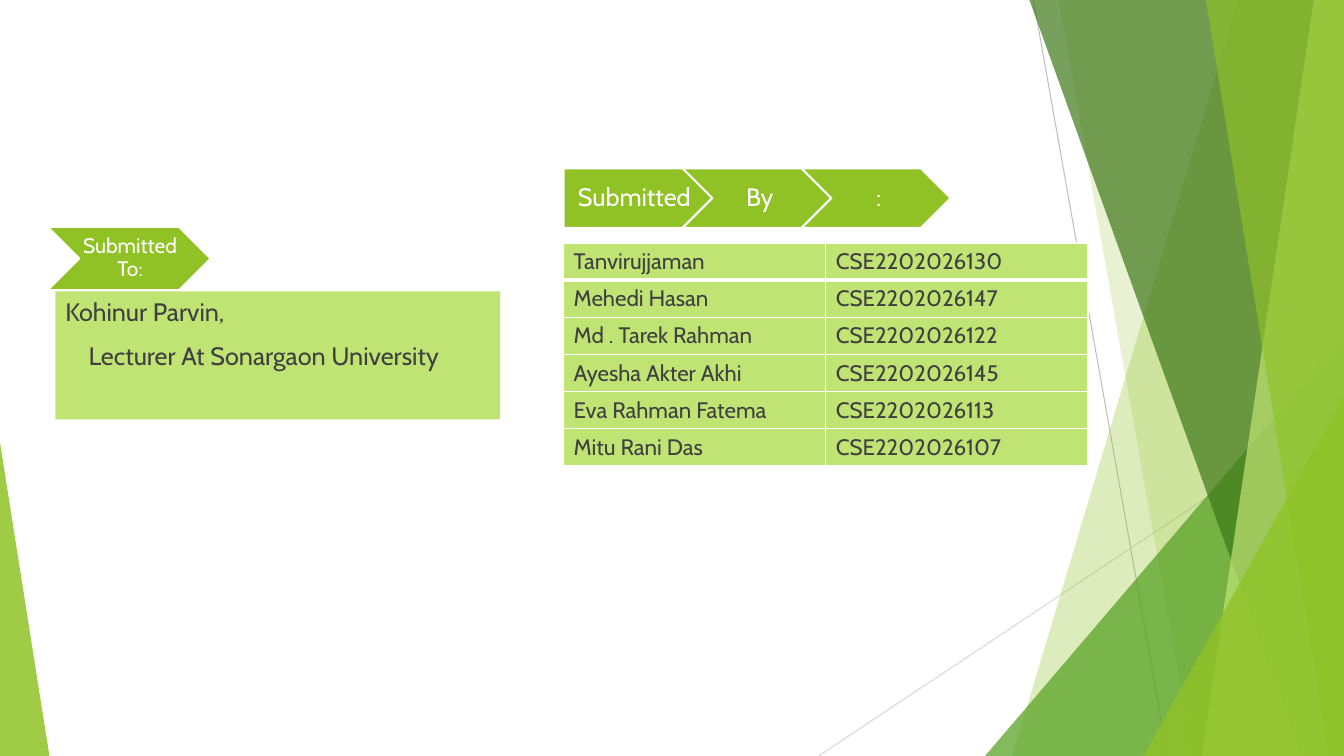
import pptx
import pptx.util
import pptx.dml.color
import pptx.enum.shapes
import pptx.enum.text
import pptx.oxml
import pptx.oxml.ns
from dataclasses import dataclass

SHAPE = pptx.enum.shapes.MSO_SHAPE
ALIGN = pptx.enum.text.PP_ALIGN
ANCHOR = pptx.enum.text.MSO_ANCHOR
NS = pptx.oxml.ns.nsdecls("a")
WIDE, HIGH = 1333, 750


@dataclass
class Theme:
    font: str = "Cabin"
    white: str = "FFFFFF"
    ink: str = "404040"
    lime: str = "90C226"
    pale: str = "C0E474"
    leaf: str = "54A021"
    dark: str = "3F7819"
    grey: str = "BFBFBF"
    mist: str = "D9D9D9"
    body: int = 18
    cell: int = 16
    tag: int = 15


def px(n):
    return pptx.util.Emu(n * 9144)


def rgb(code):
    return pptx.dml.color.RGBColor.from_string(code)


class Page:
    """Draws styled elements on one slide."""

    def __init__(self, deck, theme):
        self.theme = theme
        self.shapes = deck.slides.add_slide(deck.slide_layouts[6]).shapes

    def paint(self, shape, color, alpha=100):
        shape.shadow.inherit = False
        shape.fill.solid()
        shape.fill.fore_color.rgb = rgb(color)
        shape.line.fill.background()
        if alpha < 100:
            tone = shape.fill._xPr.find(".//" + pptx.oxml.ns.qn("a:srgbClr"))
            tone.append(pptx.oxml.parse_xml(f'<a:alpha {NS} val="{alpha * 1000}"/>'))

    def style(self, para, size, color):
        para.font.name = self.theme.font
        para.font.size = pptx.util.Pt(size)
        para.font.color.rgb = rgb(color)

    def line(self, start, end, color):
        rule = self.shapes.add_connector(
            pptx.enum.shapes.MSO_CONNECTOR.STRAIGHT, *map(px, start + end))
        rule.line.color.rgb = rgb(color)
        rule.line.width = pptx.util.Pt(0.75)
        rule._element.spPr.append(pptx.oxml.parse_xml(f"<a:effectLst {NS}/>"))

    def facet(self, top, base, color, alpha):
        form = self.shapes.build_freeform(top, 0, scale=9144)
        form.add_line_segments([(WIDE, 0), (WIDE, HIGH), (base, HIGH)], close=True)
        self.paint(form.convert_to_shape(), color, alpha)

    def wedge(self, box, peak, color, alpha):
        shape = self.shapes.add_shape(SHAPE.ISOSCELES_TRIANGLE, *map(px, box))
        shape.adjustments[0] = peak
        self.paint(shape, color, alpha)

    def arrow(self, kind, box, text, size, pads):
        shape = self.shapes.add_shape(kind, *map(px, box))
        self.paint(shape, self.theme.lime)
        shape.line.color.rgb = rgb(self.theme.white)
        shape.line.width = pptx.util.Pt(1.5)
        frame = shape.text_frame
        frame.word_wrap = True
        frame.vertical_anchor = ANCHOR.MIDDLE
        (frame.margin_left, frame.margin_top,
         frame.margin_right, frame.margin_bottom) = map(px, pads)
        para = frame.paragraphs[0]
        para.text = text
        para.alignment = ALIGN.CENTER
        para.line_spacing = 0.9
        self.style(para, size, self.theme.white)

    def panel(self, box, lines, indent):
        shape = self.shapes.add_shape(SHAPE.RECTANGLE, *map(px, box))
        self.paint(shape, self.theme.pale)
        frame = shape.text_frame
        frame.word_wrap = True
        frame.vertical_anchor = ANCHOR.TOP
        for i, text in enumerate(lines):
            para = frame.add_paragraph() if i else frame.paragraphs[0]
            para.text = text
            para.alignment = ALIGN.LEFT
            if i:
                para.space_before = pptx.util.Pt(10)
                para._p.get_or_add_pPr().set("marL", str(px(indent)))
            self.style(para, self.theme.body, self.theme.ink)

    def border(self, cell, row):
        wide = {"T": 3 if row == 1 else 1, "B": 3 if row == 0 else 1}
        props = cell._tc.get_or_add_tcPr()
        for i, side in enumerate("LRTB"):
            width = pptx.util.Pt(wide.get(side, 1))
            props.insert(i, pptx.oxml.parse_xml(
                f'<a:ln{side} {NS} w="{width}"><a:solidFill>'
                f'<a:srgbClr val="{self.theme.white}"/></a:solidFill></a:ln{side}>'))

    def table(self, box, rows):
        grid = self.shapes.add_table(len(rows), len(rows[0]), *map(px, box)).table
        grid.first_row = grid.horz_banding = False
        for r, row in enumerate(rows):
            for c, text in enumerate(row):
                cell = grid.cell(r, c)
                cell.text = text
                cell.fill.solid()
                cell.fill.fore_color.rgb = rgb(self.theme.pale)
                self.border(cell, r)
                self.style(cell.text_frame.paragraphs[0], self.theme.cell, self.theme.ink)


def main():
    deck = pptx.Presentation()
    deck.slide_width, deck.slide_height = px(WIDE), px(HIGH)
    theme = Theme()
    page = Page(deck, theme)

    page.line((1025, 0), (1158, HIGH), theme.grey)
    page.line((WIDE, 403), (812, HIGH), theme.mist)
    page.facet(1228, 1004, theme.lime, 30)
    page.facet(1050, 1183, theme.lime, 20)
    page.wedge((977, 333, 356, 417), 1, theme.leaf, 72)
    page.facet(1021, 1291, theme.dark, 70)
    page.facet(1303, 1192, theme.pale, 70)
    page.facet(1196, 1318, theme.lime, 65)
    page.wedge((1134, 393, 199, 357), 1, theme.lime, 80)
    page.wedge((0, 439, 49, 311), 0, theme.lime, 85)

    page.arrow(SHAPE.CHEVRON, (47, 225, 162, 63), "Submitted To:", theme.tag, (2, 1, 0, 1))
    page.panel((55, 289, 441, 127),
               ["Kohinur Parvin,", "Lecturer At Sonargaon University"], 23)

    for i, word in enumerate(["Submitted", "By", ":"]):
        kind = SHAPE.CHEVRON if i else SHAPE.PENTAGON
        pads = (8 if i else 10, 5, 3, 5)
        page.arrow(kind, (559 + 118 * i, 167, 148, 59), word, theme.body, pads)

    page.table((559, 241, 520, 220), [
        ("Tanvirujjaman", "CSE2202026130"),
        ("Mehedi Hasan", "CSE2202026147"),
        ("Md . Tarek Rahman", "CSE2202026122"),
        ("Ayesha Akter Akhi", "CSE2202026145"),
        ("Eva Rahman Fatema", "CSE2202026113"),
        ("Mitu Rani Das", "CSE2202026107"),
    ])
    deck.save("out.pptx")


if __name__ == "__main__":
    main()
